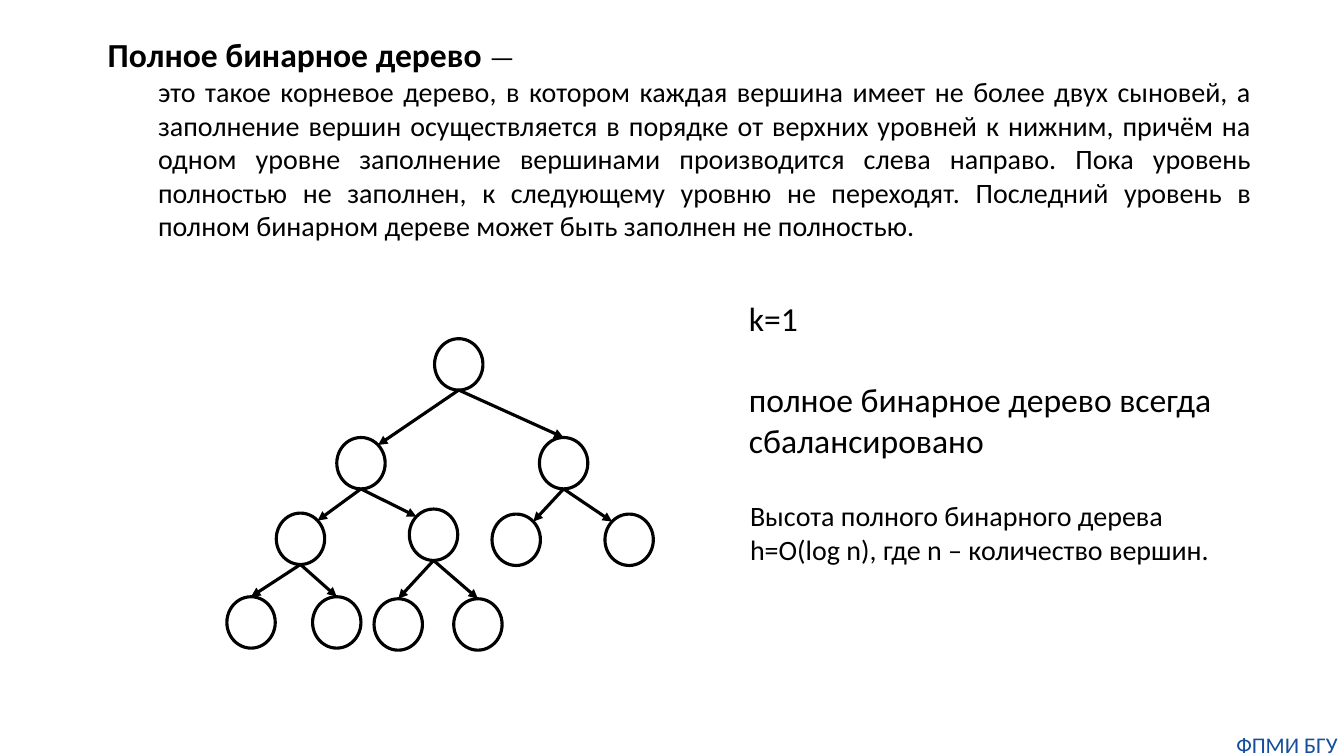
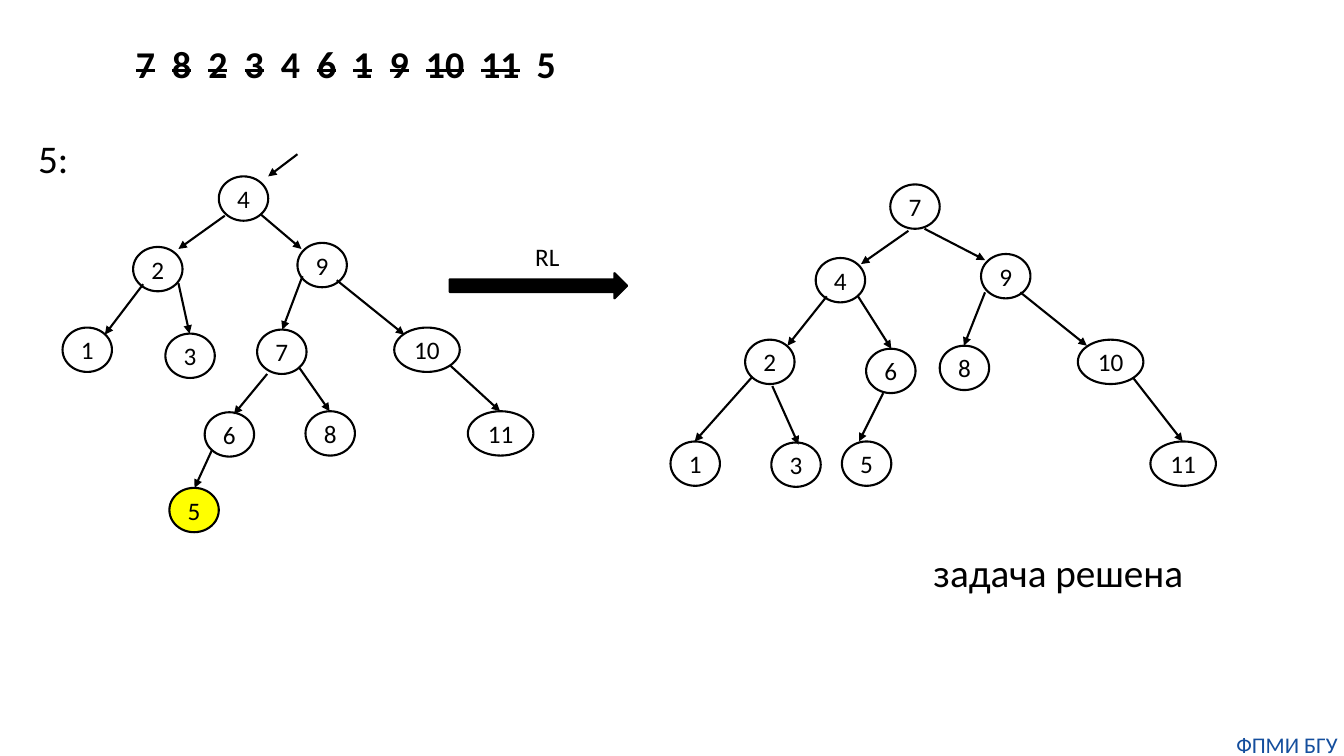
from math import sqrt
from pptx import Presentation
from pptx.dml.color import RGBColor
from pptx.enum.shapes import MSO_CONNECTOR, MSO_SHAPE
from pptx.enum.text import MSO_ANCHOR, PP_ALIGN
from pptx.oxml.ns import qn
from pptx.util import Pt
from lxml.etree import SubElement
from dataclasses import dataclass

PX = 9144


@dataclass(frozen=True)
class Theme:
    font: str = "Calibri"
    ink: str = "000000"
    blue: str = "144E9D"
    mark: str = "FFFF00"
    foot: int = 16
    node: int = 18
    body: int = 20
    head: int = 24
    keys: int = 27
    big: int = 28
    thick: float = 2.25
    thin: float = 1.5


T = Theme()

FOOT = "ФПМИ БГУ"
TERM = ("Полное бинарное дерево ", "— ")
MEANING = (
    "это такое корневое дерево, в котором каждая вершина имеет не более двух сыновей, "
    "а заполнение вершин осуществляется в порядке от верхних уровней к нижним, причём "
    "на одном уровне заполнение вершинами производится слева направо. Пока уровень "
    "полностью не заполнен, к следующему уровню не переходят. Последний уровень в "
    "полном бинарном дереве может быть заполнен не полностью."
)
FACTS = ["k=1", "полное бинарное дерево всегда сбалансировано"]
HEIGHT = "Высота полного бинарного дерева h=O(log n), где n – количество вершин."

HEAP_SIZE = (48, 51)
HEAP = [
    (431, 336, 0),
    (334, 434, 1), (535, 434, 0),
    (274, 509, 1), (406, 505, -1), (488, 510, 1), (600, 510, -1),
    (225, 592, 0), (310, 592, 0), (371, 594, 0), (450, 594, 0),
]

KEYS = "7 8 2 3 4 6 1 9 10 11 5".split()
LEFT_KEYS = {"4", "5"}
BEFORE = {
    "nodes": [
        ("4", 217, 175), ("2", 132, 245), ("9", 295, 241), ("1", 62, 325),
        ("3", 164, 331), ("7", 255, 327), ("10", 391, 325), ("6", 203, 409),
        ("8", 303, 408), ("11", 464, 408), ("5", 168, 484),
    ],
    "edges": [
        (295, 153, 266, 175), (223, 214, 177, 247), (259, 213, 299, 247),
        (142, 282, 104, 332), (177, 281, 188, 331), (300, 274, 280, 327),
        (334, 278, 401, 332), (265, 371, 232, 411), (297, 365, 327, 408),
        (447, 363, 496, 408), (210, 447, 193, 484),
    ],
    "new": "5",
}
AFTER = {
    "nodes": [
        ("7", 883, 183), ("4", 809, 256), ("9", 973, 252), ("2", 739, 337),
        ("6", 859, 346), ("8", 932, 343), ("10", 1069, 337), ("1", 665, 438),
        ("3", 765, 439), ("5", 835, 438), ("11", 1141, 438),
    ],
    "edges": [
        (901, 229, 854, 262), (917, 227, 977, 258), (820, 294, 781, 343),
        (851, 294, 884, 346), (977, 290, 956, 343), (1012, 290, 1078, 343),
        (746, 374, 689, 438), (766, 383, 792, 441), (876, 390, 852, 438),
        (1124, 375, 1173, 438),
    ],
    "new": None,
}


def px(*nums):
    return [round(n * PX) for n in nums]


def color(code):
    return RGBColor.from_string(code)


def style(run, size, ink=T.ink, bold=False):
    font = run.font
    font.name, font.size, font.bold = T.font, Pt(size), bold
    font.color.rgb = color(ink)


def write(slide, box, lines, size, ink=T.ink, align=None, gap=0, wrap=True, pad=None):
    frame = slide.shapes.add_textbox(*px(*box)).text_frame
    frame.word_wrap = wrap
    if pad is not None:
        frame.margin_left = frame.margin_right = pad
        frame.margin_top = frame.margin_bottom = pad
    frame.text = "\n".join(lines)
    for i, para in enumerate(frame.paragraphs):
        para.alignment = align
        if i and gap:
            para.space_before = Pt(gap)
        for run in para.runs:
            style(run, size, ink)
    return frame


def draw(slide, kind, box, width, fill=None):
    shape = slide.shapes.add_shape(kind, *px(*box))
    shape.shadow.inherit = False
    shape.line.color.rgb = color(T.ink)
    shape.line.width = Pt(width)
    if fill:
        shape.fill.solid()
        shape.fill.fore_color.rgb = color(fill)
    else:
        shape.fill.background()
    return shape


def arrow(slide, ends, width):
    link = slide.shapes.add_connector(MSO_CONNECTOR.STRAIGHT, *px(*ends))
    link.line.color.rgb = color(T.ink)
    link.line.width = Pt(width)
    SubElement(link.line._get_or_add_ln(), qn("a:tailEnd"), type="triangle")
    SubElement(link._element.spPr, qn("a:effectLst"))


def heap(slide):
    wide, high = HEAP_SIZE
    for i, (left, top, side) in enumerate(HEAP, 1):
        draw(slide, MSO_SHAPE.OVAL, (left, top, wide, high), T.thick)
        if i > 1:
            x, y, _ = HEAP[i // 2 - 1]
            drop = high / 2 * (1 - sqrt(0.5)) if side else 0
            tip = left + wide / 2 + side * wide / 2 * sqrt(0.5)
            arrow(slide, (x + wide / 2, y + high, tip, top + drop), T.thick)


def tree(slide, data):
    for key, left, top in data["nodes"]:
        wide = 65 if len(key) > 1 else 49
        fill = T.mark if key == data["new"] else None
        node = draw(slide, MSO_SHAPE.OVAL, (left, top, wide, 44), T.thin, fill)
        frame = node.text_frame
        frame.margin_left = frame.margin_right = 0
        frame.margin_top = frame.margin_bottom = 0
        frame.word_wrap = False
        frame.vertical_anchor = MSO_ANCHOR.MIDDLE
        frame.text = key
        para = frame.paragraphs[0]
        para.alignment = PP_ALIGN.CENTER
        style(para.runs[0], T.node)
    for ends in data["edges"]:
        arrow(slide, ends, T.thin)


def page(deck):
    slide = deck.slides.add_slide(deck.slide_layouts[6])
    write(slide, (1220, 725, 113, 27), [FOOT], T.foot, T.blue, PP_ALIGN.CENTER, pad=0)
    return slide


def theory(deck):
    slide = page(deck)
    frame = write(slide, (47, 29, 1204, 219), ["".join(TERM), MEANING],
                  T.body, align=PP_ALIGN.JUSTIFY)
    for level, para in enumerate(frame.paragraphs, 1):
        para.level = level
        props = para._p.get_or_add_pPr()
        props.set("marL", str(px(50 * level)[0]))
        props.set("indent", "0")
    term = frame.paragraphs[0]
    term.runs[0].text = TERM[0]
    style(term.runs[0], T.head, bold=True)
    dash = term.add_run()
    dash.text = TERM[1]
    style(dash, T.body)
    heap(slide)
    write(slide, (733, 291, 487, 172), FACTS, T.head, gap=29)
    write(slide, (734, 490, 478, 77), [HEIGHT], T.body)


def example(deck):
    slide = page(deck)
    frame = write(slide, (125, 10, 449, 106), [""], T.keys)
    frame.vertical_anchor = MSO_ANCHOR.MIDDLE
    para = frame.paragraphs[0]
    for i, key in enumerate(KEYS):
        if i:
            space = para.add_run()
            space.text = " "
            style(space, T.keys, bold=True)
            space._r.get_or_add_rPr().set("spc", "610")
        run = para.add_run()
        run.text = key
        style(run, T.keys, bold=True)
        if key not in LEFT_KEYS:
            run._r.get_or_add_rPr().set("strike", "sngStrike")
    write(slide, (28, 128, 80, 57), ["5:"], T.big)
    write(slide, (916, 539, 322, 57), ["задача решена"], T.big)
    draw(slide, MSO_SHAPE.RIGHT_ARROW, (446, 271, 176, 25), T.thin, T.ink)
    write(slide, (521, 234, 45, 40), ["RL"], T.node, wrap=False)
    for data in (BEFORE, AFTER):
        tree(slide, data)


def main():
    deck = Presentation()
    deck.slide_width, deck.slide_height = px(1333, 750)
    theory(deck)
    example(deck)
    deck.save("out.pptx")


if __name__ == "__main__":
    main()
